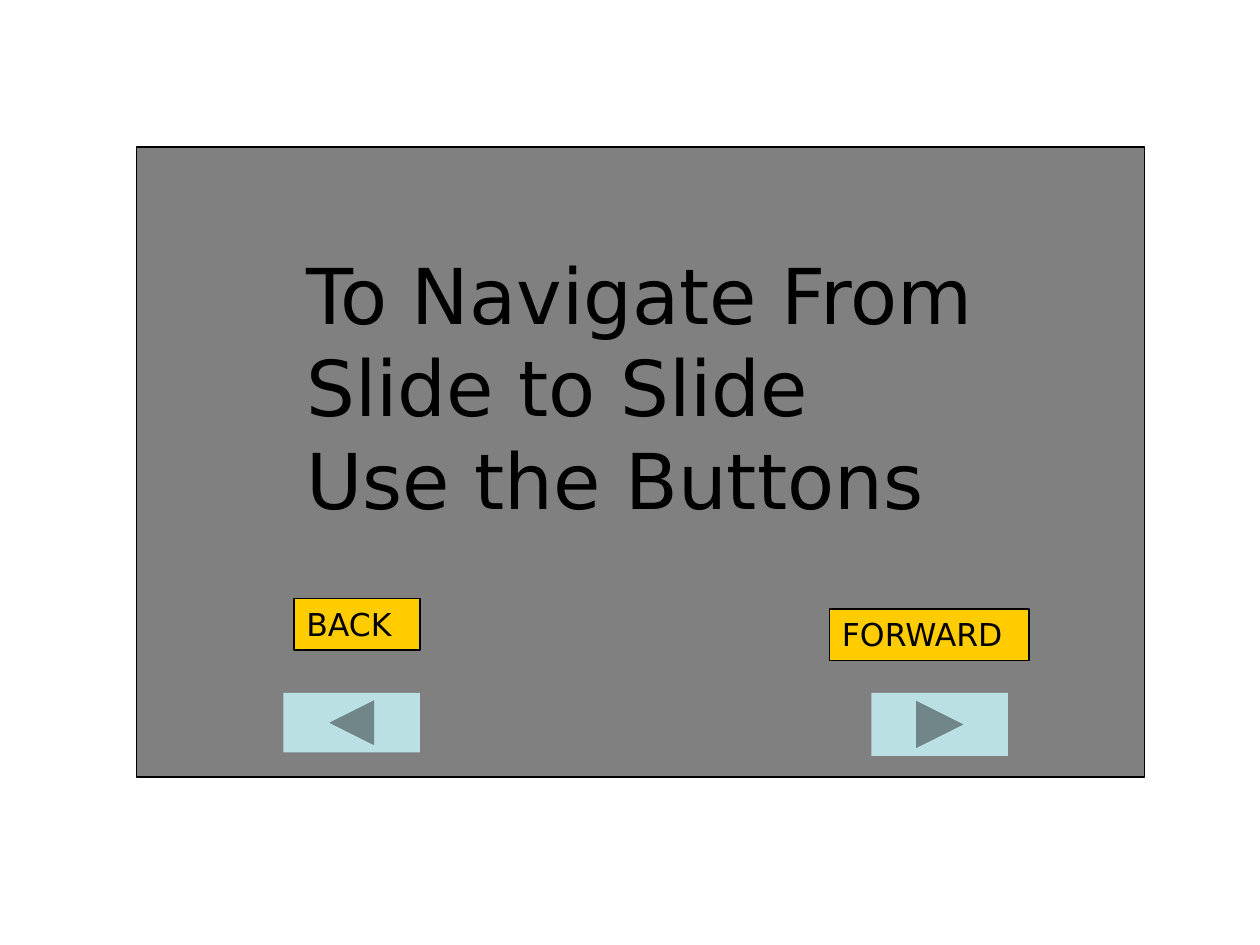
"""Build a slide that explains the back and forward buttons."""
import pptx
import pptx.dml.color
import pptx.enum.shapes
import pptx.enum.text
import pptx.util

RGB = pptx.dml.color.RGBColor
KIND = pptx.enum.shapes.MSO_SHAPE
BLACK = RGB(0, 0, 0)
GREY = RGB(0x80, 0x80, 0x80)
GOLD = RGB(0xFF, 0xCC, 0)
AQUA = RGB(0xBB, 0xE0, 0xE3)
FONT = "DejaVu Sans"

WIDE, HIGH = 10, 7.5
COLS, ROWS = 120, 90

PANEL = (13, 14, 96, 60)
TITLE = (28, 23, 70.5, 27.6)
LINES = ["To Navigate From", "Slide to Slide", "Use the Buttons"]
KEYS = [
    (KIND.ACTION_BUTTON_FORWARD_OR_NEXT, (83, 66, 13, 6)),
    (KIND.ACTION_BUTTON_BACK_OR_PREVIOUS, (27, 66, 13, 5.67)),
]
TAGS = [("BACK", (28, 57, 12, 4.9)), ("FORWARD", (79, 58, 19, 4.9))]


def place(cells):
    """Turn grid cells into slide lengths."""
    col, row, wide, high = cells
    return [
        pptx.util.Inches(size)
        for size in (
            col * WIDE / COLS,
            row * HIGH / ROWS,
            wide * WIDE / COLS,
            high * HIGH / ROWS,
        )
    ]


def draw(slide, kind, cells, fill, edge=None):
    """Add a flat shape, outlined when an edge colour is given."""
    shape = slide.shapes.add_shape(kind, *place(cells))
    shape.shadow.inherit = False
    shape.fill.solid()
    shape.fill.fore_color.rgb = fill
    if edge is None:
        shape.line.fill.background()
    else:
        shape.line.color.rgb = edge
        shape.line.width = pptx.util.Pt(0.75)
    return shape


def write(shape, text, size):
    """Set black text at the top left of a shape."""
    frame = shape.text_frame
    frame.text = text
    frame.word_wrap = True
    frame.vertical_anchor = pptx.enum.text.MSO_ANCHOR.TOP
    frame.auto_size = pptx.enum.text.MSO_AUTO_SIZE.SHAPE_TO_FIT_TEXT
    for para in frame.paragraphs:
        para.alignment = pptx.enum.text.PP_ALIGN.LEFT
        for run in para.runs:
            run.font.name = FONT
            run.font.size = pptx.util.Pt(size)
            run.font.color.rgb = BLACK


def main():
    """Lay out the panel, keys, tags and title."""
    deck = pptx.Presentation()
    deck.slide_width = pptx.util.Inches(WIDE)
    deck.slide_height = pptx.util.Inches(HIGH)
    slide = deck.slides.add_slide(deck.slide_layouts[6])
    draw(slide, KIND.RECTANGLE, PANEL, GREY, BLACK)
    for kind, cells in KEYS:
        draw(slide, kind, cells, AQUA)
    for text, cells in TAGS:
        write(draw(slide, KIND.RECTANGLE, cells, GOLD, BLACK), text, 18)
    title = slide.shapes.add_textbox(*place(TITLE))
    write(title, "\n".join(LINES), 44)
    deck.save("out.pptx")


if __name__ == "__main__":
    main()
